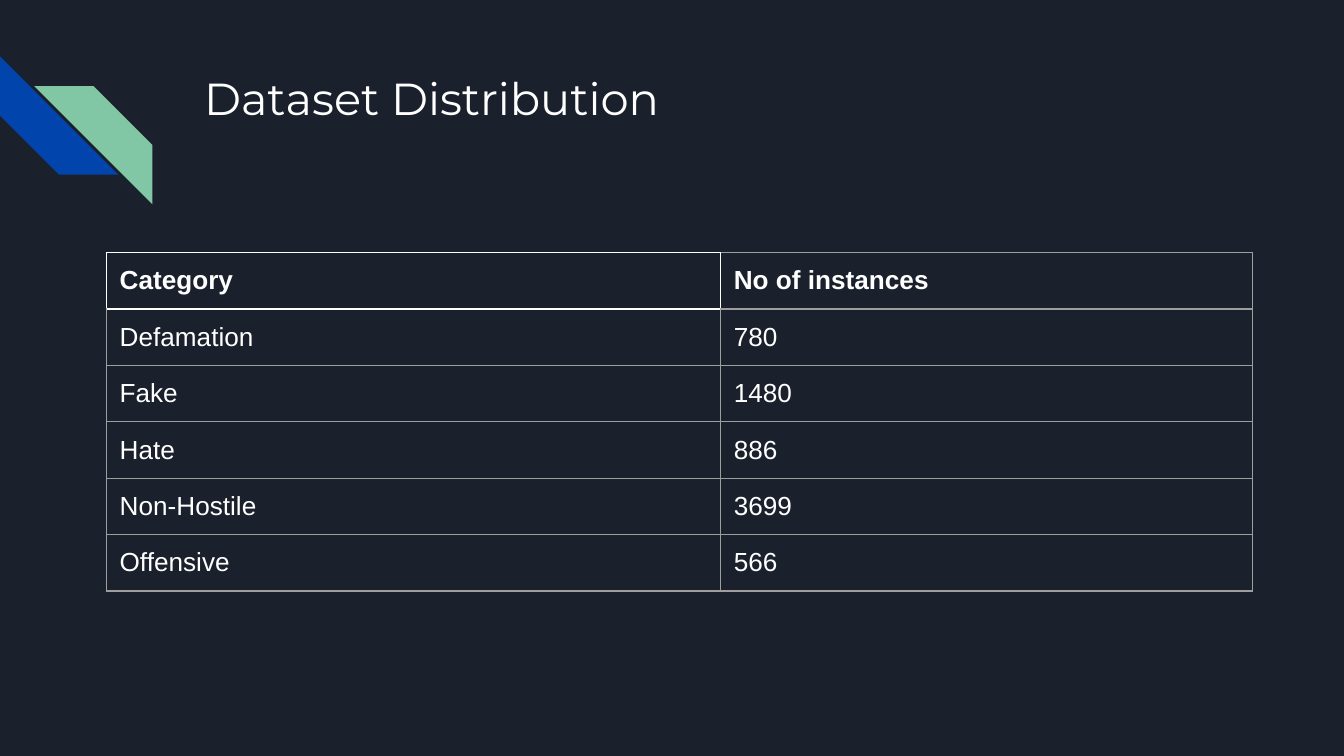
from lxml.etree import SubElement
from pptx import Presentation
from pptx.dml.color import RGBColor
from pptx.enum.shapes import MSO_SHAPE as Preset
from pptx.enum.text import MSO_ANCHOR as Anchor
from pptx.oxml.ns import qn
from pptx.util import Inches, Pt

NAVY = RGBColor(0x1B, 0x21, 0x2C)
BLUE = RGBColor(0x01, 0x45, 0xAC)
GREEN = RGBColor(0x82, 0xC7, 0xA5)
WHITE = RGBColor(0xFF, 0xFF, 0xFF)
GREY = RGBColor(0x9E, 0x9E, 0x9E)

ROWS = [
    ("Category", "No of instances"),
    ("Defamation", "780"),
    ("Fake", "1480"),
    ("Hate", "886"),
    ("Non-Hostile", "3699"),
    ("Offensive", "566"),
]


def style_text(frame, font, size, bold=False):
    """Apply one white font to every run of a text frame."""
    for para in frame.paragraphs:
        for span in para.runs:
            span.font.name = font
            span.font.size = Pt(size)
            span.font.bold = bold
            span.font.color.rgb = WHITE


def set_margins(holder, bottom=0.1):
    """Inset a text frame or a cell, with a bottom of its own."""
    holder.margin_left = holder.margin_right = holder.margin_top = Inches(0.1)
    holder.margin_bottom = Inches(bottom)


def add_stripe(page, left, top, size, color):
    """Place one square diagonal stripe and return it."""
    stripe = page.shapes.add_shape(
        Preset.DIAGONAL_STRIPE, Inches(left), Inches(top), Inches(size), Inches(size))
    stripe.shadow.inherit = False
    stripe.adjustments[0] = 0.5
    stripe.fill.solid()
    stripe.fill.fore_color.rgb = color
    stripe.line.fill.background()
    return stripe


def add_emblem(page, left, top, size):
    """Draw the two interlocking stripes from the top left corner."""
    add_stripe(page, left, top, size, BLUE).rotation = 270
    green = add_stripe(page, left + size * 0.29, top + size * 0.25, size, GREEN)
    green.element.spPr.find(qn("a:xfrm")).set("flipH", "1")


def add_title(page, left, top, width, height, text):
    """Write the slide title inside the given box."""
    box = page.shapes.add_textbox(
        Inches(left), Inches(top), Inches(width), Inches(height))
    frame = box.text_frame
    frame.word_wrap = True
    frame.vertical_anchor = Anchor.TOP
    set_margins(frame)
    frame.text = text
    style_text(frame, "Montserrat", 24)


def add_border(cell, side, color):
    """Draw one thin solid border of a cell."""
    line = SubElement(cell._tc.get_or_add_tcPr(), qn(f"a:ln{side}"), w=str(Pt(0.75)))
    fill = SubElement(line, qn("a:solidFill"))
    SubElement(fill, qn("a:srgbClr"), val=str(color))


def border_color(row, column, side):
    """Return white for the edges of the first cell and grey elsewhere."""
    edges = {(0, 0): "LRTB", (0, 1): "L", (1, 0): "T"}
    return WHITE if side in edges.get((row, column), "") else GREY


def add_grid(page, left, top, widths, row_height, rows):
    """Build the bordered table with a bold first row."""
    table = page.shapes.add_table(
        len(rows), len(widths), Inches(left), Inches(top),
        Inches(sum(widths)), Inches(row_height * len(rows))).table
    table.first_row = table.horz_banding = False
    for column, width in zip(table.columns, widths):
        column.width = Inches(width)
    for r, values in enumerate(rows):
        table.rows[r].height = Inches(row_height)
        for c, value in enumerate(values):
            cell = table.cell(r, c)
            set_margins(cell, bottom=0.08)
            cell.text = value
            style_text(cell.text_frame, "Arial", 14, bold=r == 0)
            for side in "LRTB":
                add_border(cell, side, border_color(r, c, side))
            cell.fill.background()


def main():
    """Build and save the one-slide deck."""
    deck = Presentation()
    deck.slide_width = Inches(10)
    deck.slide_height = deck.slide_width * 9 // 16
    page = deck.slides.add_slide(deck.slide_layouts[6])
    page.background.fill.solid()
    page.background.fill.fore_color.rgb = NAVY
    add_emblem(page, 0, 0.42, 0.88)
    add_title(page, 1.42, 0.43, 7.7, 1, "Dataset Distribution")
    add_grid(page, 0.79, 1.88, (4.57, 3.96), 0.42, ROWS)
    deck.save("out.pptx")


if __name__ == "__main__":
    main()
